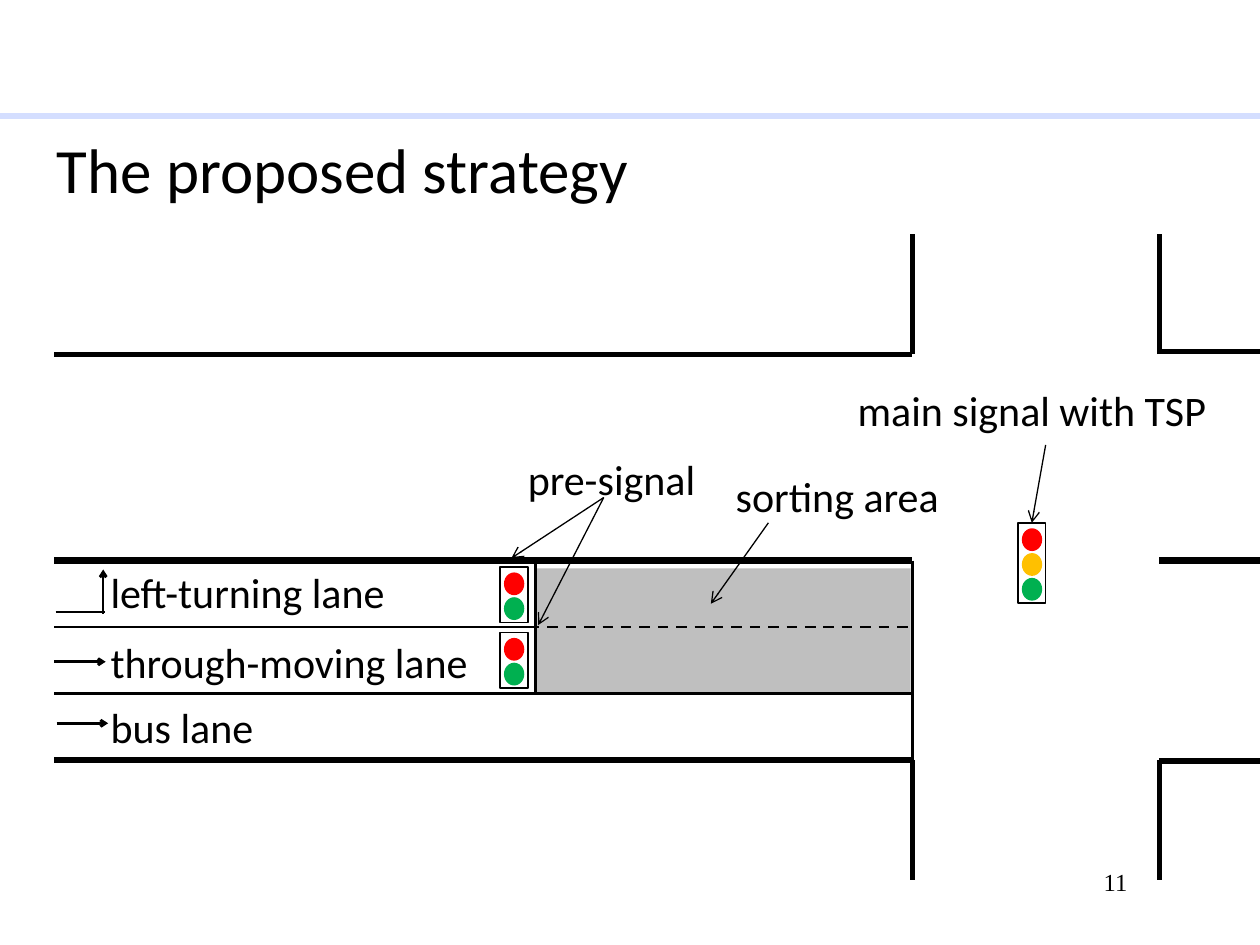
from dataclasses import dataclass

from lxml import etree
from pptx import Presentation
from pptx import util as u
from pptx.dml.color import RGBColor
from pptx.enum import dml, shapes, text
from pptx.oxml import ns


@dataclass(frozen=True)
class Theme:
    ink: str = "000000"
    rule: str = "D4DEFF"
    sorting: str = "BFBFBF"
    red: str = "FF0000"
    amber: str = "FFC000"
    green: str = "00B050"
    sans: str = "Calibri"
    serif: str = "Times New Roman"
    title_size: float = 36
    label_size: float = 24
    number_size: float = 14
    kerb: float = 3
    centre: float = 4.5
    lane: float = 1.5
    callout: float = 0.75


THEME = Theme()
ROAD_LEFT, STOP_LINE, PRE_STOP = 1.09, 18.39, 10.8
CROSS_RIGHT, ROAD_RIGHT = 23.37, 26.49
ROAD_TOP, CROSS_TOP, CROSS_BOTTOM = 7.14, 4.72, 17.73
LANE_EDGES = [11.3 + 1.34 * i for i in range(4)]


def set_font(paragraph, size, name):
    paragraph.font.size = u.Pt(size)
    paragraph.font.name = name
    paragraph.font.color.rgb = RGBColor.from_string(THEME.ink)


def add_title(slide, wording):
    title = slide.shapes.title
    title.left, title.top = u.Cm(0.89), u.Cm(2.51)
    title.width, title.height = u.Cm(22.81), u.Cm(13.41)
    frame = title.text_frame
    frame.text = wording
    frame.auto_size = text.MSO_AUTO_SIZE.NONE
    frame.vertical_anchor = text.MSO_ANCHOR.TOP
    frame.paragraphs[0].alignment = text.PP_ALIGN.LEFT
    set_font(frame.paragraphs[0], THEME.title_size, THEME.sans)


def add_label(slide, wording, left, top, width, height=1.27,
              size=THEME.label_size, name=THEME.sans):
    label = slide.shapes.add_textbox(u.Cm(left), u.Cm(top), u.Cm(width), u.Cm(height))
    label.text_frame.word_wrap = True
    label.text_frame.text = wording
    set_font(label.text_frame.paragraphs[0], size, name)


def add_line(slide, start, end, weight, color=THEME.ink, dashed=False, head=None):
    line = slide.shapes.add_connector(
        shapes.MSO_CONNECTOR.STRAIGHT, *(u.Cm(v) for v in (*start, *end)))
    line.line.width = u.Pt(weight)
    line.line.color.rgb = RGBColor.from_string(color)
    if dashed:
        line.line.dash_style = dml.MSO_LINE.DASH
    if head:
        etree.SubElement(line.line._get_or_add_ln(), ns.qn("a:tailEnd"),
                         type="arrow", w=head, len=head)
    etree.SubElement(line._element.spPr, ns.qn("a:effectLst"))
    return line


def add_block(slide, preset, left, top, width, height, fill=None, outline=None):
    block = slide.shapes.add_shape(
        preset, u.Cm(left), u.Cm(top), u.Cm(width), u.Cm(height))
    block.shadow.inherit = False
    if fill:
        block.fill.solid()
        block.fill.fore_color.rgb = RGBColor.from_string(fill)
    else:
        block.fill.background()
    if outline:
        block.line.color.rgb = RGBColor.from_string(THEME.ink)
        block.line.width = u.Pt(outline)
    else:
        block.line.fill.background()
    return block


def add_signal(slide, left, top, lamps):
    pitch = 0.5
    case = add_block(slide, shapes.MSO_SHAPE.RECTANGLE, left, top,
                     0.56, pitch * len(lamps) + 0.12, outline=1)
    for i, color in enumerate(lamps):
        add_block(slide, shapes.MSO_SHAPE.OVAL, left + 0.08, top + 0.11 + pitch * i,
                  0.41, 0.46, fill=color)
    return case


def add_approach(slide):
    centre, divider, bus_top, kerb = LANE_EDGES
    add_block(slide, shapes.MSO_SHAPE.RECTANGLE, 10.77, 11.46, 7.59, 2.51,
              fill=THEME.sorting)
    for y, weight in ((centre, THEME.centre), (bus_top, THEME.lane),
                      (kerb, THEME.kerb), (ROAD_TOP, THEME.kerb)):
        add_line(slide, (ROAD_LEFT, y), (STOP_LINE, y), weight)
    add_line(slide, (2.13, divider), (STOP_LINE, divider), THEME.lane, dashed=True)
    add_line(slide, (ROAD_LEFT, divider), (PRE_STOP, divider), THEME.lane)
    add_line(slide, (STOP_LINE, centre), (STOP_LINE, kerb), THEME.lane)
    add_line(slide, (PRE_STOP, centre), (PRE_STOP, bus_top), THEME.lane)

    add_line(slide, (1.12, 12.34), (2.11, 12.34), THEME.lane)
    for start, end in (((2.08, 12.37), (2.08, 11.48)),
                       ((1.09, 13.34), (2.13, 13.34)),
                       ((1.14, 14.58), (2.18, 14.58))):
        add_line(slide, start, end, THEME.lane, head="sm")
    for wording, top, width in (("left-turning lane", 11.3, 8.84),
                                ("through-moving lane", 12.7, 9.75),
                                ("bus lane", 14.02, 5.33)):
        add_label(slide, wording, 1.98, top, width)


def add_crossing(slide):
    kerb = LANE_EDGES[-1]
    for x in (STOP_LINE, CROSS_RIGHT):
        add_line(slide, (x, ROAD_TOP), (x, CROSS_TOP), THEME.kerb)
        add_line(slide, (x, kerb), (x, CROSS_BOTTOM), THEME.kerb)
    for y, weight in ((7.09, THEME.kerb), (LANE_EDGES[0], THEME.centre),
                      (15.34, THEME.kerb)):
        add_line(slide, (CROSS_RIGHT, y), (ROAD_RIGHT, y), weight)


def add_signals(slide):
    for top in (11.43, 12.75):
        add_signal(slide, 10.08, top, (THEME.red, THEME.green))
    main_signal = add_signal(slide, 20.52, 10.54,
                             (THEME.red, THEME.amber, THEME.green))
    for start, end in (((12.17, 10.03), (10.31, 11.25)),
                       ((12.17, 10.03), (10.85, 12.6)),
                       ((15.49, 10.54), (14.33, 12.17))):
        add_line(slide, start, end, THEME.callout, head="med")
    main_callout = add_line(slide, (21.08, 8.97), (20.8, 10.54),
                            THEME.callout, head="med")
    main_callout.end_connect(main_signal, 0)
    for wording, left, top, width in (("main signal with TSP", 17.04, 7.62, 7.9),
                                      ("pre-signal", 10.39, 9.02, 4.95),
                                      ("sorting area", 14.58, 9.37, 4.9)):
        add_label(slide, wording, left, top, width)


def main():
    deck = Presentation()
    deck.slide_width, deck.slide_height = u.Cm(25.4), u.Cm(19.05)
    slide = deck.slides.add_slide(deck.slide_layouts[5])
    add_line(slide, (0, 2.34), (25.4, 2.34), 3.5, color=THEME.rule)
    add_title(slide, "The proposed strategy")
    add_approach(slide)
    add_crossing(slide)
    add_signals(slide)
    add_label(slide, "11", 22, 17.35, 2.69, 1.32, THEME.number_size, THEME.serif)
    deck.save("out.pptx")


if __name__ == "__main__":
    main()
